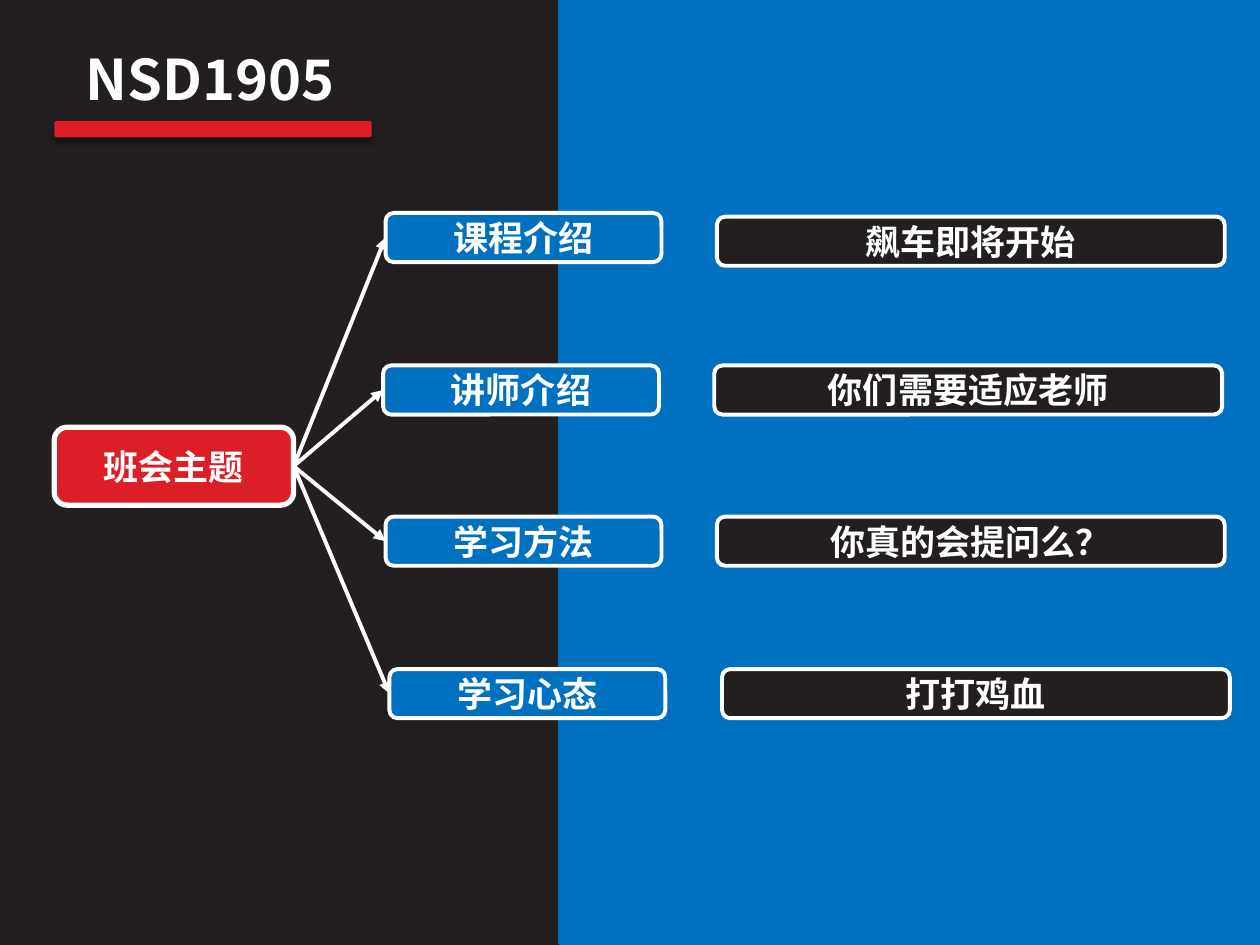
"""Build the class meeting overview slide with its topic tree."""
import pptx
import pptx.dml.color
import pptx.enum.shapes
import pptx.enum.text
import pptx.oxml
import pptx.oxml.ns
import pptx.util

Pt = pptx.util.Pt
SHAPE = pptx.enum.shapes.MSO_SHAPE
ANCHOR = pptx.enum.text.MSO_ANCHOR
FONT = "Noto Sans CJK JP"
COLORS = {"dark": "231F20", "blue": "0070C0", "red": "DC1F26", "white": "FFFFFF"}
ROWS = [
    ("课程介绍", 220.3, 121.7, "飙车即将开始", 409.7, 123.8),
    ("讲师介绍", 218.9, 208.8, "你们需要适应老师", 408.2, 208.8),
    ("学习方法", 220.3, 295.2, "你真的会提问么？", 409.7, 295.2),
    ("学习心态", 222.5, 382.3, "打打鸡血", 412.6, 382.3),
]


def tint(name):
    """Return the named colour."""
    return pptx.dml.color.RGBColor.from_string(COLORS[name])


def paint(fill, name):
    """Make a fill solid in the named colour."""
    fill.solid()
    fill.fore_color.rgb = tint(name)


def write(shape, text, size, anchor):
    """Put centred bold white text in a shape."""
    frame = shape.text_frame
    frame.word_wrap = True
    frame.vertical_anchor = anchor
    para = frame.paragraphs[0]
    para.alignment = pptx.enum.text.PP_ALIGN.CENTER
    run = para.add_run()
    run.text = text
    style = {"name": FONT, "size": Pt(size), "bold": True}
    for key, value in style.items():
        setattr(run.font, key, value)
    run.font.color.rgb = tint("white")
    east = pptx.oxml.parse_xml(
        f'<a:ea {pptx.oxml.ns.nsdecls("a")} typeface="{FONT}"/>')
    run.font._element.append(east)


def block(slide, kind, area, fill, edge=None, width=0):
    """Add a filled shape with an optional outline."""
    shape = slide.shapes.add_shape(kind, *map(Pt, area))
    shape.shadow.inherit = False
    paint(shape.fill, fill)
    if edge:
        paint(shape.line.fill, edge)
        shape.line.width = Pt(width)
    else:
        shape.line.fill.background()
    return shape


def label(slide, area, fill, text, width=2.25):
    """Add a rounded white-edged box with text."""
    box = block(slide, SHAPE.ROUNDED_RECTANGLE, area, fill, "white", width)
    write(box, text, 20, ANCHOR.MIDDLE)
    return box


def arrow(slide, start, end):
    """Join the right side of one box to the left side of another."""
    line = slide.shapes.add_connector(
        pptx.enum.shapes.MSO_CONNECTOR.STRAIGHT, 0, 0, 0, 0)
    line.begin_connect(start, 3)
    line.end_connect(end, 1)
    paint(line.line.fill, "white")
    line.line.width = Pt(2.25)
    space = pptx.oxml.ns.nsdecls("a")
    line.line._get_or_add_ln().append(
        pptx.oxml.parse_xml(f'<a:tailEnd {space} type="triangle"/>'))
    line._element.spPr.append(pptx.oxml.parse_xml(f"<a:effectLst {space}/>"))


def title(slide):
    """Add the heading and its shadowed red bar."""
    head = slide.shapes.add_textbox(*map(Pt, (20.2, 21.6, 199.4, 51.1)))
    write(head, "NSD1905", 32, ANCHOR.TOP)
    bar = block(slide, SHAPE.ROUNDED_RECTANGLE, (31, 69.1, 181.4, 9.4), "red")
    shade = pptx.oxml.parse_xml(
        f'<a:outerShdw {pptx.oxml.ns.nsdecls("a")} blurRad="{Pt(4)}" '
        f'dist="{Pt(3)}" dir="5400000" rotWithShape="0">'
        '<a:srgbClr val="000000"><a:alpha val="43000"/></a:srgbClr></a:outerShdw>')
    bar._element.spPr.find(pptx.oxml.ns.qn("a:effectLst")).append(shade)


def main():
    """Build and save the slide."""
    deck = pptx.Presentation()
    deck.slide_width, deck.slide_height = Pt(720), Pt(540)
    slide = deck.slides.add_slide(deck.slide_layouts[6])
    paint(slide.background.fill, "dark")
    block(slide, SHAPE.RECTANGLE, (320.4, 0, 399.6, 538.6), "blue", "blue", 3)
    title(slide)
    theme = label(slide, (31, 244.1, 136.8, 44.6), "red", "班会主题", 3)
    for topic, left, top, note, side, level in ROWS:
        box = label(slide, (left, top, 157.7, 28.1), "blue", topic)
        label(slide, (side, level, 290.2, 28.1), "dark", note)
        arrow(slide, theme, box)
    deck.save("out.pptx")


if __name__ == "__main__":
    main()
